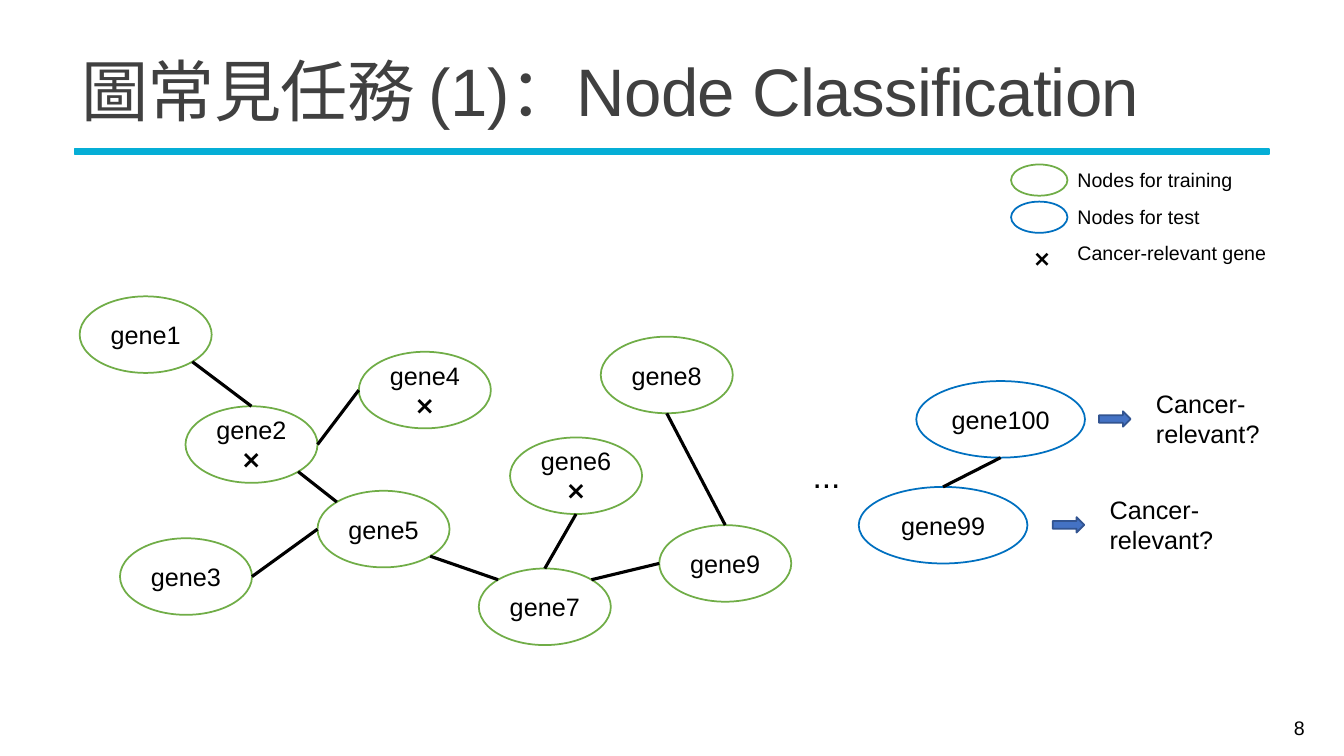
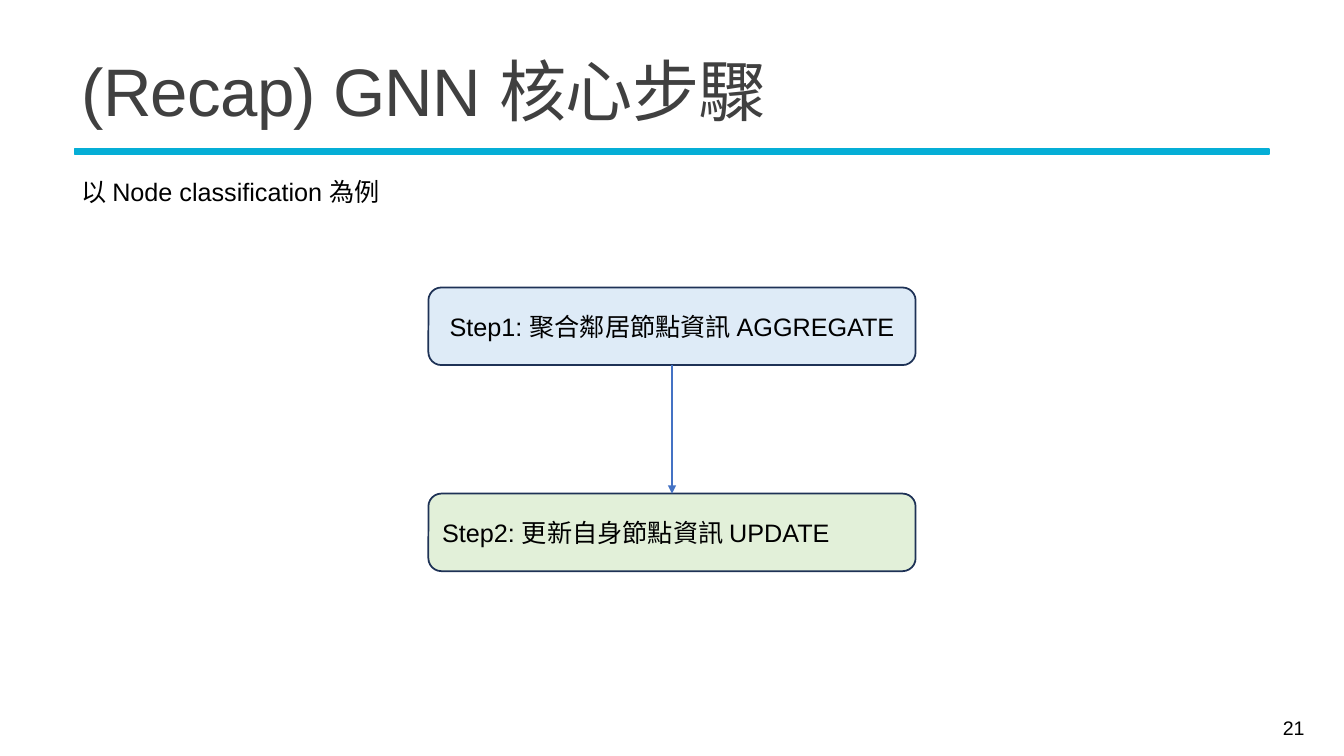
from math import cos, radians, sin

from lxml import etree
from pptx import Presentation
from pptx.dml.color import RGBColor
from pptx.enum.shapes import MSO_CONNECTOR, MSO_SHAPE
from pptx.enum.text import MSO_ANCHOR, PP_ALIGN
from pptx.oxml.ns import qn
from pptx.util import Pt

OVAL = MSO_SHAPE.OVAL
RECT = MSO_SHAPE.RECTANGLE
ROUND = MSO_SHAPE.ROUNDED_RECTANGLE
ARROW = MSO_SHAPE.RIGHT_ARROW
LINE = MSO_CONNECTOR.STRAIGHT
TOP, MID = MSO_ANCHOR.TOP, MSO_ANCHOR.MIDDLE
LEFT, MID_X, RIGHT = PP_ALIGN.LEFT, PP_ALIGN.CENTER, PP_ALIGN.RIGHT

BLACK, GRAY, CYAN = "000000", "404040", "05AED6"
GREEN, BLUE, NAVY = "70AD47", "0070C0", "1E3256"
STEEL, EDGE = "4472C4", "325491"
PALE_BLUE, PALE_GREEN = "DEEBF7", "E2F0D9"
CROSS = "❌"

# Angles of the points where edges touch an oval, clockwise from the right
SITES = {"e": 0, "se": 45, "s": 90, "w": 180, "nw": 225, "n": 270, "ne": 315}


def color(code):
    return RGBColor.from_string(code)


def site(box, name):
    x, y, w, h = box
    turn = radians(SITES[name])
    return x + w / 2 * (1 + cos(turn)), y + h / 2 * (1 + sin(turn))


class Deck:
    font = "Arial"

    def __init__(self):
        self.prs = Presentation()
        self.prs.slide_width, self.prs.slide_height = Pt(960), Pt(540)
        self.slide = None

    def page(self, title, number):
        """Start a slide with its bar, title and page number."""
        self.slide = self.prs.slides.add_slide(self.prs.slide_layouts[6])
        self.shape(RECT, (53.3, 106.6, 853.2, 3.6), CYAN, CYAN)
        head = self.label((51.1, 28.1, 859.7, 81.4), title, size=48,
                          ink=GRAY, anchor=MID)
        para = head.text_frame.paragraphs[0]
        para.line_spacing = 0.85
        para.runs[0].font._element.set("spc", "-50")
        self.label((836, 505.4, 103, 28.8), str(number), size=14,
                   align=RIGHT, anchor=MID)

    def put(self, item, text, size=18, ink=BLACK, align=LEFT, anchor=TOP):
        frame = item.text_frame
        for key, value in {"word_wrap": True, "vertical_anchor": anchor,
                           "text": text}.items():
            setattr(frame, key, value)
        for para in frame.paragraphs:
            para.alignment = align
            for run in para.runs:
                for key, value in {"name": self.font, "size": Pt(size)}.items():
                    setattr(run.font, key, value)
                run.font.color.rgb = color(ink)

    def label(self, box, text, **style):
        item = self.slide.shapes.add_textbox(*map(Pt, box))
        self.put(item, text, **style)
        return item

    def shape(self, kind, box, line, fill=None, text="", align=MID_X):
        item = self.slide.shapes.add_shape(kind, *map(Pt, box))
        item.shadow.inherit = False
        if fill:
            item.fill.solid()
            item.fill.fore_color.rgb = color(fill)
        else:
            item.fill.background()
        item.line.color.rgb = color(line)
        item.line.width = Pt(1.25)
        if text:
            self.put(item, text, align=align, anchor=MID)

    def link(self, start, end, ink=BLACK, width=2.25, head=False):
        item = self.slide.shapes.add_connector(LINE, *map(Pt, start + end))
        item.line.color.rgb = color(ink)
        item.line.width = Pt(width)
        props = item._element.spPr
        if head:
            tail = etree.SubElement(props.get_or_add_ln(), qn("a:tailEnd"))
            tail.set("type", "triangle")
        etree.SubElement(props, qn("a:effectLst"))


def node_page(deck):
    deck.page("圖常見任務 (1)：Node Classification", 8)

    # Gene nodes: left, top, text, outline
    spots = {
        1: (56.9, 211.7, "gene1", GREEN),
        2: (132.5, 290.2, "gene2\n" + CROSS, GREEN),
        3: (85.7, 384.5, "gene3", GREEN),
        4: (256.3, 251.3, "gene4" + CROSS, GREEN),
        5: (226.8, 350.6, "gene5", GREEN),
        6: (364.3, 312.5, "gene6\n" + CROSS, GREEN),
        7: (342, 406.1, "gene7", GREEN),
        8: (429.1, 240.5, "gene8", GREEN),
        9: (470.9, 375.1, "gene9", GREEN),
        100: (654.5, 272.2, "gene100", BLUE),
        99: (613.4, 347.8, "gene99", BLUE),
    }
    nodes = {}
    for key, (x, y, text, line) in spots.items():
        nodes[key] = (x, y, 94.3 if line == GREEN else 120.5, 54.7)
        deck.shape(OVAL, nodes[key], line, text=text)

    # Edges between nodes
    for a, out, b, into in (
            (1, "se", 2, "n"), (2, "e", 4, "w"), (3, "e", 5, "w"),
            (7, "nw", 5, "se"), (7, "n", 6, "s"), (7, "ne", 9, "w"),
            (9, "n", 8, "s"), (2, "se", 5, "nw"), (99, "n", 100, "s")):
        deck.link(site(nodes[a], out), site(nodes[b], into))
    deck.label((562.3, 321.1, 56.2, 36), "...", size=24, align=MID_X)

    # Questions for the test nodes
    for x, y in ((818.6, 273.6), (785.5, 349.2)):
        deck.label((x, y, 103, 51), "Cancer-relevant?")
        deck.shape(ARROW, (x - 33.5, y + 20.2, 22.5, 11), EDGE, STEEL)

    # Legend
    names = ("Nodes for training", "Nodes for test", "Cancer-relevant gene")
    for row, name in enumerate(names):
        deck.label((762.5, 116.6 + 26 * row, 161.3, 24.5), name, size=14)
    for row, line in enumerate((GREEN, BLUE)):
        deck.shape(OVAL, (722.2, 117.5 + 26.5 * row, 40.3, 22.3), line)
    deck.label((706.3, 171.4, 76.3, 26.6), CROSS, size=16, align=MID_X)


def step_page(deck):
    deck.page("(Recap) GNN 核心步驟", 21)
    deck.label((51.1, 122.4, 236, 28.8), "以 Node classification 為例")

    # Two steps joined by an arrow
    x, w, h = 306, 348, 55.4
    first, last = 205.4, 352.6
    for y, fill, text, align in (
            (first, PALE_BLUE, "Step1: 聚合鄰居節點資訊 AGGREGATE", MID_X),
            (last, PALE_GREEN, "Step2: 更新自身節點資訊 UPDATE", LEFT)):
        deck.shape(ROUND, (x, y, w, h), NAVY, fill, text, align)
    deck.link((x + w / 2, first + h), (x + w / 2, last), STEEL, 1, head=True)


def main():
    deck = Deck()
    node_page(deck)
    step_page(deck)
    deck.prs.save("out.pptx")


if __name__ == "__main__":
    main()
